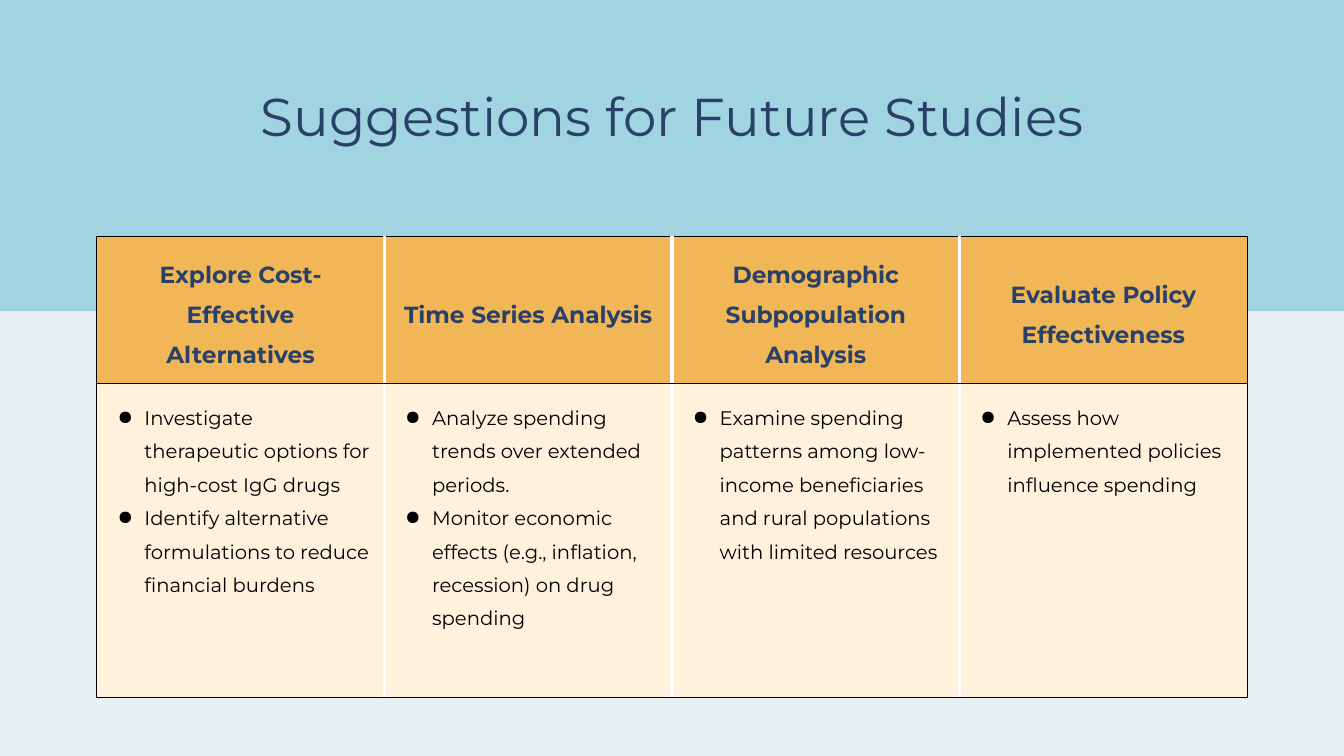
from lxml import etree
from pptx import Presentation
from pptx import util as u
from pptx.dml.color import RGBColor
from pptx.enum import shapes, text
from pptx.oxml import ns

PALE = RGBColor(0xE7, 0xF1, 0xF4)
SKY = RGBColor(0xA1, 0xD4, 0xE1)
NAVY = RGBColor(0x29, 0x40, 0x69)
AMBER = RGBColor(0xF1, 0xB7, 0x56)
CREAM = RGBColor(0xFF, 0xF2, 0xDC)
WHITE = RGBColor(0xFF, 0xFF, 0xFF)
BLACK = RGBColor(0, 0, 0)

WIDTH, HEIGHT = 20, 11.25
COLUMN, HEADER_ROW, BODY_ROW = 4.28, 2.19, 4.68
TABLE_TOP = 3.51

STUDIES = {
    "Explore Cost-Effective Alternatives": [
        "Investigate therapeutic options for high-cost IgG drugs",
        "Identify alternative formulations to reduce financial burdens",
    ],
    "Time Series Analysis": [
        "Analyze spending trends over extended periods.",
        "Monitor economic effects (e.g., inflation, recession) on drug spending",
    ],
    "Demographic Subpopulation Analysis": [
        "Examine spending patterns among low-income beneficiaries "
        "and rural populations with limited resources",
    ],
    "Evaluate Policy Effectiveness": [
        "Assess how implemented policies influence spending",
    ],
}


def add_bullet(para, color):
    """Give a paragraph a hanging round bullet."""
    props = para._p.get_or_add_pPr()
    props.set("marL", str(u.Inches(0.5)))
    props.set("indent", str(u.Inches(-0.4)))
    tint = etree.SubElement(props, ns.qn("a:buClr"))
    etree.SubElement(tint, ns.qn("a:srgbClr"), val=str(color))
    etree.SubElement(props, ns.qn("a:buChar"), char="●")


def write(frame, lines, *, size, color, font="Montserrat", bold=False,
          align=text.PP_ALIGN.LEFT, spacing=1.4, bullet=False):
    """Fill a text frame with one paragraph per line."""
    frame.word_wrap = True
    for index, line in enumerate(lines):
        para = frame.add_paragraph() if index else frame.paragraphs[0]
        if bullet:
            add_bullet(para, color)
        para.alignment = align
        para.line_spacing = spacing
        span = para.add_run()
        span.text = line
        span.font.name = font
        span.font.size = u.Pt(size)
        span.font.bold = bold
        span.font.color.rgb = color


def add_border(cell, side, color, points):
    props = cell._tc.get_or_add_tcPr()
    line = etree.SubElement(props, ns.qn(f"a:ln{side}"), w=str(u.Pt(points)))
    fill = etree.SubElement(line, ns.qn("a:solidFill"))
    etree.SubElement(fill, ns.qn("a:srgbClr"), val=str(color))


class Slide:
    """The current slide and its style; places are shares of the slide."""

    def __init__(self, deck):
        self.deck = deck
        self.page = deck.slides.add_slide(deck.slide_layouts[6])
        self.page.background.fill.solid()
        self.page.background.fill.fore_color.rgb = PALE

    def place(self, left, top, width, height):
        across, down = self.deck.slide_width, self.deck.slide_height
        return [round(share * side) for share, side in
                zip((left, top, width, height), (across, down, across, down))]

    def band(self, color, *area):
        shape = self.page.shapes.add_shape(
            shapes.MSO_SHAPE.RECTANGLE, *self.place(*area))
        shape.shadow.inherit = False
        shape.fill.solid()
        shape.fill.fore_color.rgb = color
        shape.line.fill.background()

    def title(self, words, *area):
        frame = self.page.shapes.add_textbox(*self.place(*area)).text_frame
        frame.margin_left = frame.margin_right = 0
        frame.margin_top = frame.margin_bottom = 0
        write(frame, [words], size=57, color=NAVY, spacing=1.1,
              align=text.PP_ALIGN.CENTER)

    def table(self, columns, *area):
        table = self.page.shapes.add_table(
            2, len(columns), *self.place(*area)).table
        table.horz_banding = table.first_row = False
        for row, height in zip(table.rows, (HEADER_ROW, BODY_ROW)):
            row.height = u.Inches(height)
        last = len(columns) - 1
        for index, (heading, points) in enumerate(columns.items()):
            table.columns[index].width = u.Inches(COLUMN)
            head, body = table.cell(0, index), table.cell(1, index)
            for cell, fill in ((head, AMBER), (body, CREAM)):
                self.style_cell(cell, fill, index == 0, index == last)
            head.vertical_anchor = text.MSO_ANCHOR.MIDDLE
            write(head.text_frame, [heading], size=25, color=NAVY, bold=True,
                  align=text.PP_ALIGN.CENTER)
            write(body.text_frame, points, size=21, color=BLACK, bullet=True)

    def style_cell(self, cell, fill, first, last):
        """Black outer frame and rules, white gaps between columns."""
        outer, gap = (BLACK, 0.75), (WHITE, 3.75)
        add_border(cell, "L", *(outer if first else gap))
        add_border(cell, "R", *(outer if last else gap))
        add_border(cell, "T", *outer)
        add_border(cell, "B", *outer)
        cell.fill.solid()
        cell.fill.fore_color.rgb = fill
        cell.margin_left = cell.margin_right = u.Inches(0.21)
        cell.margin_top = cell.margin_bottom = u.Inches(0.21)


def main():
    deck = Presentation()
    deck.slide_width, deck.slide_height = u.Inches(WIDTH), u.Inches(HEIGHT)
    slide = Slide(deck)

    # Upper colour band
    slide.band(SKY, 0, 0, 1, 4.63 / HEIGHT)

    # Table of studies, centred across the slide
    share = len(STUDIES) * COLUMN / WIDTH
    slide.table(STUDIES, (1 - share) / 2, TABLE_TOP / HEIGHT,
                share, (HEADER_ROW + BODY_ROW) / HEIGHT)

    # Title
    slide.title("Suggestions for Future Studies",
                0.095, 1.14 / HEIGHT, 0.81, 0.96 / HEIGHT)

    deck.save("out.pptx")


if __name__ == "__main__":
    main()
